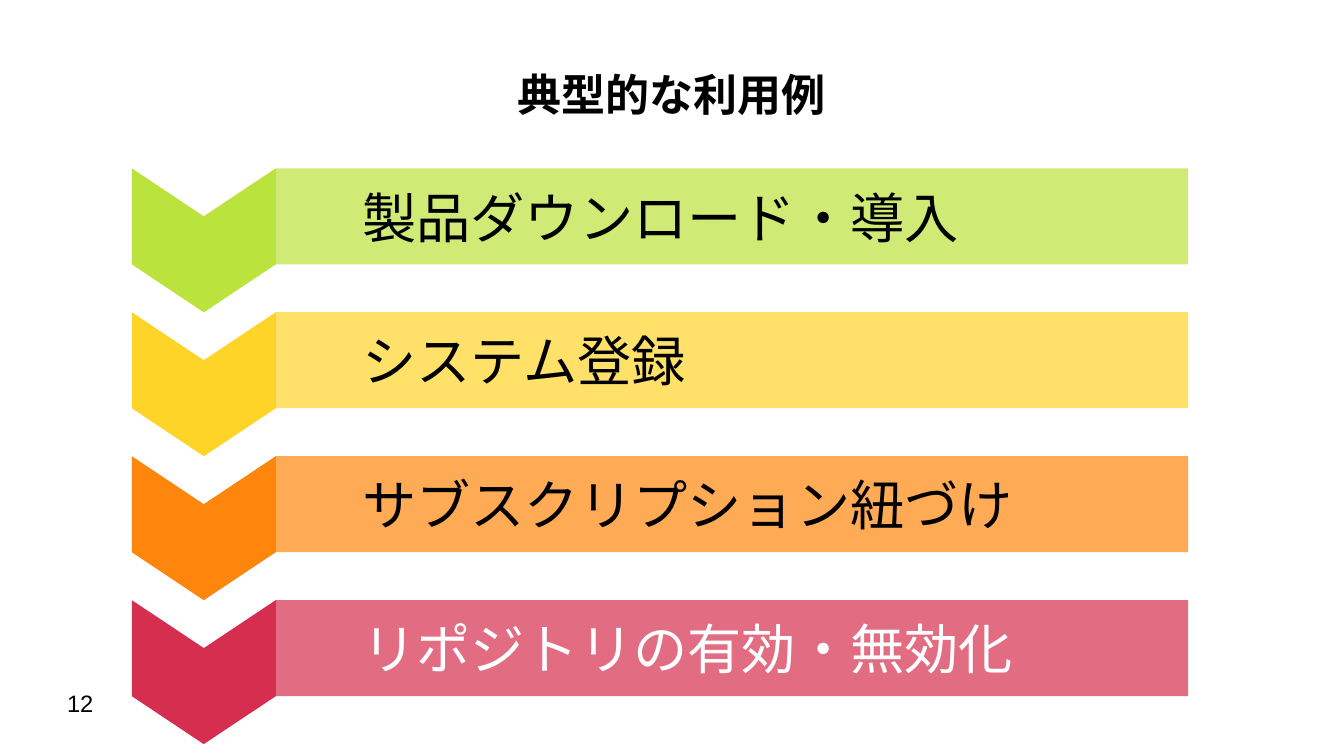
"""Builds a slide with four coloured steps of a typical use."""
from lxml.etree import SubElement
from pptx import Presentation
from pptx.dml.color import RGBColor
from pptx.enum.lang import MSO_LANGUAGE_ID
from pptx.enum.shapes import MSO_SHAPE
from pptx.enum.text import MSO_ANCHOR, PP_ALIGN
from pptx.oxml.ns import qn
from pptx.util import Pt

BLACK = RGBColor(0x00, 0x00, 0x00)
WHITE = RGBColor(0xFF, 0xFF, 0xFF)
LIME = RGBColor(0xBB, 0xE3, 0x3D)
YELLOW = RGBColor(0xFF, 0xD4, 0x28)
ORANGE = RGBColor(0xFF, 0x86, 0x0D)
RED = RGBColor(0xD6, 0x2E, 0x4E)

LEFT, TOP, STEP = 77.8, 99.4, 85
BAR_W, BAR_H = 538.6, 56.7
NOTCH = STEP / 3
STEPS = [
    ("製品ダウンロード・導入", LIME, BLACK),
    ("システム登録", YELLOW, BLACK),
    ("サブスクリプション紐づけ", ORANGE, BLACK),
    ("リポジトリの有効・無効化", RED, WHITE),
]


def write(shape, text, size, color, align, anchor, pad=(0, 0), bold=False):
    frame = shape.text_frame
    side, edge = map(Pt, pad)
    form = {"word_wrap": True, "vertical_anchor": anchor,
            "margin_left": side, "margin_right": side,
            "margin_top": edge, "margin_bottom": edge}
    for name, value in form.items():
        setattr(frame, name, value)
    para = frame.paragraphs[0]
    para.alignment = align
    run = para.add_run()
    run.text = text
    look = {"size": Pt(size), "bold": bold, "name": "Arial",
            "language_id": MSO_LANGUAGE_ID.JAPANESE}
    for name, value in look.items():
        setattr(run.font, name, value)
    run.font.color.rgb = color
    SubElement(run._r.rPr, qn("a:ea"), typeface="Arial")
    return para


def paint(shape, color):
    shape.shadow.inherit = False
    shape.fill.solid()
    shape.fill.fore_color.rgb = color
    shape.line.fill.background()


deck = Presentation()
deck.slide_width, deck.slide_height = Pt(793.44), Pt(446.4)
slide = deck.slides.add_slide(deck.slide_layouts[5])
shapes = slide.shapes

title = shapes.title
place = {"left": 39.6, "top": 18, "width": 714.24, "height": 74.9}
for name, value in place.items():
    setattr(title, name, Pt(value))
write(title, "典型的な利用例", 26, BLACK, PP_ALIGN.CENTER, MSO_ANCHOR.MIDDLE, bold=True)

for row, (text, color, ink) in enumerate(STEPS):
    top = TOP + row * STEP
    right, mid = LEFT + STEP, LEFT + STEP / 2
    bar = shapes.add_shape(MSO_SHAPE.RECTANGLE, Pt(right), Pt(top), Pt(BAR_W), Pt(BAR_H))
    paint(bar, color)
    tint = bar._element.spPr.find(qn("a:solidFill"))[0]
    SubElement(tint, qn("a:alpha"), val="70000")
    para = write(bar, text, 32, ink, PP_ALIGN.LEFT, MSO_ANCHOR.MIDDLE, (8.6, 5))
    props = para._p.get_or_add_pPr()
    props.set("marL", str(Pt(42.5)))
    props.set("indent", "0")

    base = top + BAR_H
    path = shapes.build_freeform(Pt(LEFT), Pt(top))
    points = [(mid, top + NOTCH), (right, top), (right, base),
              (mid, base + NOTCH), (LEFT, base)]
    path.add_line_segments([(Pt(x), Pt(y)) for x, y in points], close=True)
    paint(path.convert_to_shape(), color)

page = shapes.add_textbox(Pt(39.6), Pt(406.8), Pt(185), Pt(31))
write(page, "12", 14, BLACK, PP_ALIGN.LEFT, MSO_ANCHOR.TOP)

deck.save("out.pptx")
